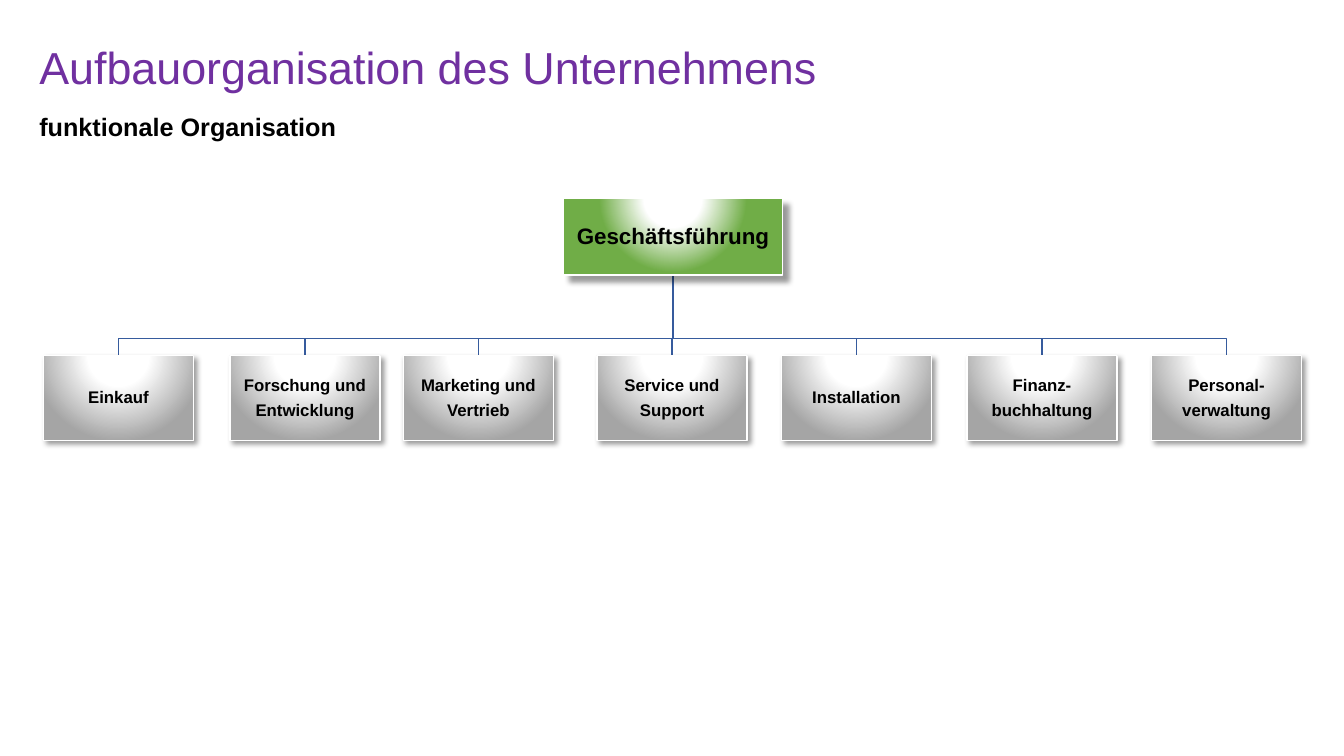
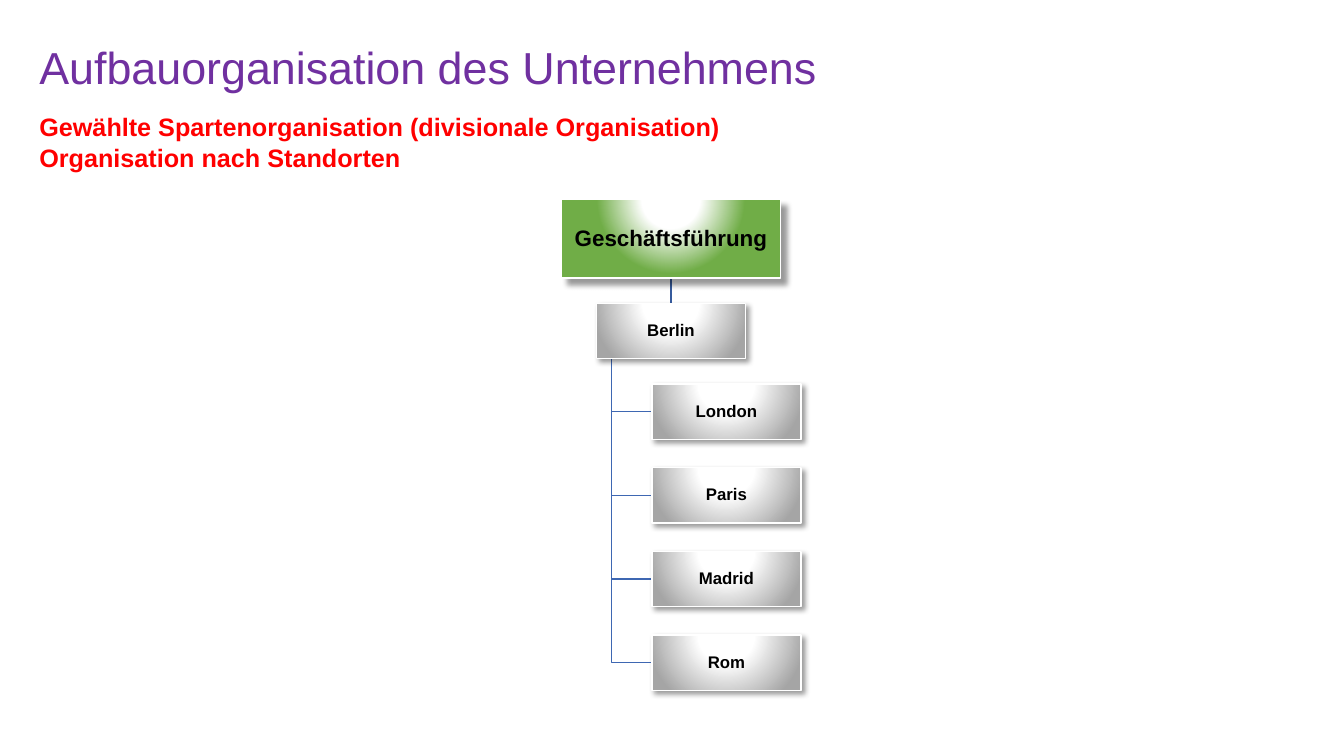
from lxml.etree import SubElement
from pptx import Presentation
from pptx.dml.color import RGBColor
from pptx.enum.shapes import MSO_CONNECTOR, MSO_SHAPE
from pptx.enum.text import MSO_ANCHOR, MSO_AUTO_SIZE, PP_ALIGN
from pptx.oxml import parse_xml
from pptx.oxml.ns import nsdecls, qn
from pptx.util import Inches, Pt

FONT = "Arial"
TITLE = "Aufbauorganisation des Unternehmens"
PURPLE, RED, BLACK, WHITE = "7030A0", "FF0000", "000000", "FFFFFF"
GREEN, GRAY = "70AD47", "A5A5A5"
DARK_BLUE, MID_BLUE = "365B9D", "3E67B2"
HEAD = {"color": GREEN, "stops": (25, 64), "distance": 6, "size": 16}
UNIT = {"color": GRAY, "stops": (35, 100), "distance": 3, "size": 12}


def rgb(value):
    """Turn a hex string into a colour."""
    return RGBColor.from_string(value)


def format_text(tf, size, color, bold, align, spacing=1.0, after=0):
    """Format every paragraph and run of a text frame."""
    for p in tf.paragraphs:
        p.alignment = align
        p.line_spacing = spacing
        p.space_after = Pt(after)
        for r in p.runs:
            r.font.name, r.font.size, r.font.bold = FONT, Pt(size), bold
            r.font.color.rgb = rgb(color)


def set_frame(tf, text, sides, ends, anchor):
    """Fill a text frame and set its insets and anchor."""
    tf.text = text
    tf.word_wrap = True
    tf.auto_size = MSO_AUTO_SIZE.NONE
    tf.vertical_anchor = anchor
    tf.margin_left, tf.margin_right = [Inches(v) for v in sides]
    tf.margin_top = tf.margin_bottom = Inches(ends)


def add_heading(s, subtitle, color, height):
    """Place the slide title and the subtitle below it."""
    title = s.shapes.title
    title.left, title.top = Inches(0), Inches(0.4)
    title.width, title.height = Inches(11.5), Inches(0.59)
    set_frame(title.text_frame, TITLE, (0.39, 0.1), 0.05, MSO_ANCHOR.MIDDLE)
    format_text(title.text_frame, 32, PURPLE, False, PP_ALIGN.LEFT, 0.9)
    sp = s.shapes.add_textbox(Inches(0), Inches(1.06), Inches(10.42), Inches(height))
    set_frame(sp.text_frame, subtitle, (0.39, 0.1), 0.05, MSO_ANCHOR.TOP)
    format_text(sp.text_frame, 18, color, True, PP_ALIGN.LEFT)


def add_glow(sp, color, stops, distance):
    """Give a shape a radial gradient and a soft drop shadow."""
    colors = zip((0, *stops), (WHITE, WHITE, color))
    gs = "".join(f'<a:gs pos="{pos * 1000}"><a:srgbClr val="{c}"/></a:gs>' for pos, c in colors)
    sp_pr = sp.element.spPr
    sp_pr.append(parse_xml(
        f'<a:gradFill {nsdecls("a")} rotWithShape="1"><a:gsLst>{gs}</a:gsLst>'
        '<a:path path="circle"><a:fillToRect l="50000" t="-80000" r="50000" b="180000"/>'
        '</a:path></a:gradFill>'))
    sp.shadow.inherit = False
    shadow = SubElement(sp_pr.find(qn("a:effectLst")), qn("a:outerShdw"),
                        blurRad=str(Pt(4)), dist=str(Pt(distance)), dir="2700000",
                        algn="tl", rotWithShape="0")
    black = SubElement(shadow, qn("a:srgbClr"), val=BLACK)
    SubElement(black, qn("a:alpha"), val="40000")


def add_unit(s, box, text, color, stops, distance, size):
    """Draw one labelled unit of the chart."""
    sp = s.shapes.add_shape(MSO_SHAPE.RECTANGLE, *[Inches(v) for v in box])
    add_glow(sp, color, stops, distance)
    sp.line.color.rgb, sp.line.width = rgb(WHITE), Pt(1)
    set_frame(sp.text_frame, text, (0.01, 0.01), 0.01, MSO_ANCHOR.MIDDLE)
    format_text(sp.text_frame, size, BLACK, True, PP_ALIGN.CENTER, 0.9, 0.4 * size)


def add_branch(s, points, color):
    """Draw an angled line through the points."""
    start, *rest = [(Inches(x), Inches(y)) for x, y in points]
    builder = s.shapes.build_freeform(*start)
    builder.add_line_segments(rest, close=False)
    sp = builder.convert_to_shape()
    sp.fill.background()
    sp.line.color.rgb, sp.line.width = rgb(color), Pt(1)
    sp.shadow.inherit = False


def add_stem(s, x, top, bottom):
    """Draw a straight vertical line."""
    line = s.shapes.add_connector(MSO_CONNECTOR.STRAIGHT, Inches(x), Inches(top),
                                  Inches(x), Inches(bottom))
    line.line.color.rgb, line.line.width = rgb(DARK_BLUE), Pt(1)
    SubElement(line.element.spPr, qn("a:effectLst"))


def add_row_chart(s, head_box, departments, top, size):
    """Place a head unit above a row of departments."""
    left, head_top, width, height = head_box
    center, bottom = left + width / 2, head_top + height
    bus = top - 0.17
    for x in departments:
        middle = x + size[0] / 2
        add_branch(s, [(center, bottom), (center, bus), (middle, bus), (middle, top)], DARK_BLUE)
    add_unit(s, head_box, "Geschäftsführung", **HEAD)
    for x, name in departments.items():
        add_unit(s, (x, top, *size), name, **UNIT)


def add_hanging_chart(s, head_box, main, branches, size, gap):
    """Place a head unit, its main site and the sites hanging below."""
    left, top, width, height = head_box
    center, bottom = left + width / 2, top + height
    main_left, main_top = center - size[0] / 2, bottom + 0.25
    main_bottom = main_top + size[1]
    trunk, site_left = main_left + 0.15, main_left + 0.55
    tops = [main_bottom + 0.25 + i * (size[1] + gap) for i in range(len(branches))]
    for y in reversed(tops):
        middle = y + size[1] / 2
        add_branch(s, [(trunk, main_bottom), (trunk, middle), (site_left, middle)], MID_BLUE)
    add_stem(s, center, bottom, main_top)
    add_unit(s, head_box, "Geschäftsführung", **HEAD)
    add_unit(s, (main_left, main_top, *size), main, **UNIT)
    for y, name in zip(tops, branches):
        add_unit(s, (site_left, y, *size), name, **UNIT)


def functional_slide(prs):
    """Build the slide on the functional organisation."""
    s = prs.slides.add_slide(prs.slide_layouts[5])
    add_heading(s, "funktionale Organisation", BLACK, 0.4)
    departments = {
        0.43: "Einkauf",
        2.28: "Forschung und\nEntwicklung",
        4: "Marketing und\nVertrieb",
        5.92: "Service und\nSupport",
        7.75: "Installation",
        9.59: "Finanz-\nbuchhaltung",
        11.42: "Personal-\nverwaltung",
    }
    add_row_chart(s, (5.59, 1.97, 2.17, 0.76), departments, 3.53, (1.49, 0.84))


def divisional_slide(prs):
    """Build the slide on the organisation by location."""
    s = prs.slides.add_slide(prs.slide_layouts[5])
    add_heading(s, "Gewählte Spartenorganisation (divisionale Organisation)\n"
                   "Organisation nach Standorten", RED, 0.71)
    add_hanging_chart(s, (5.57, 1.98, 2.17, 0.78), "Berlin",
                      ["London", "Paris", "Madrid", "Rom"], (1.48, 0.55), 0.28)


def main():
    """Build and save the presentation."""
    prs = Presentation()
    prs.slide_width, prs.slide_height = Inches(13.33), Inches(7.5)
    functional_slide(prs)
    divisional_slide(prs)
    prs.save("out.pptx")


main()
